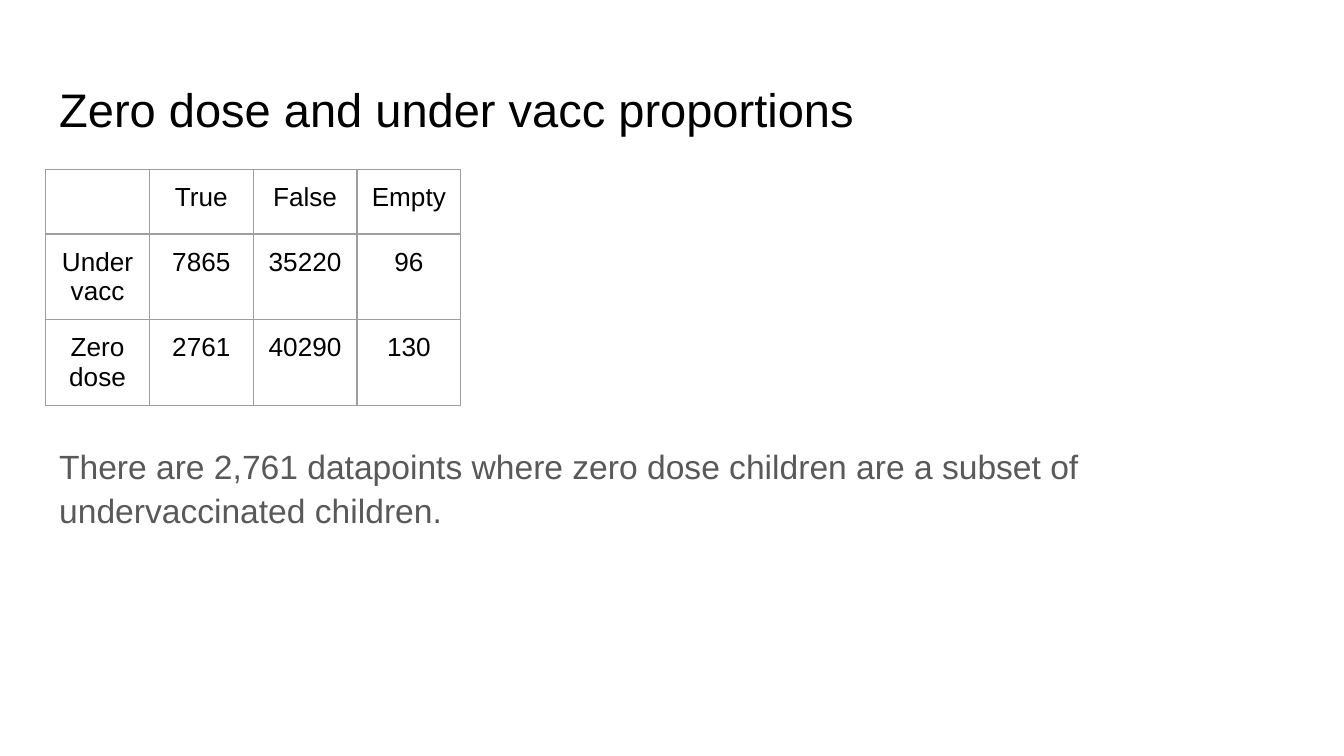
from lxml import etree
from pptx import Presentation
from pptx.dml.color import RGBColor
from pptx.enum import text
from pptx.oxml import ns
from pptx.util import Pt

COUNTS = [
    ["", "True", "False", "Empty"],
    ["Under vacc", "7865", "35220", "96"],
    ["Zero dose", "2761", "40290", "130"],
]
INSET = 7.2


def colour(value):
    """Turn a hex string into a colour."""
    return RGBColor.from_string(value)


def add_run(paragraph, wording, size, ink):
    """Append one formatted run to a paragraph."""
    run = paragraph.add_run()
    run.text = wording
    run.font.name = "Arial"
    run.font.size = Pt(size)
    run.font.bold = False
    run.font.color.rgb = colour(ink)


def fill_placeholder(holder, box, wording, size, ink, anchor, top_inset=INSET):
    """Move a placeholder to its box and write one plain paragraph in it."""
    holder.left, holder.top, holder.width, holder.height = map(Pt, box)
    frame = holder.text_frame
    frame.word_wrap = True
    frame.auto_size = text.MSO_AUTO_SIZE.NONE
    frame.vertical_anchor = anchor
    frame.margin_left = frame.margin_right = frame.margin_bottom = Pt(INSET)
    frame.margin_top = Pt(top_inset)
    paragraph = frame.paragraphs[0]
    paragraph.alignment = text.PP_ALIGN.LEFT
    paragraph.space_before = Pt(0)
    add_run(paragraph, wording, size, ink)
    return paragraph


def add_title(slide, box):
    """Place the slide heading."""
    heading = fill_placeholder(slide.shapes.title, box, "Zero dose and under vacc proportions",
                               25.2, "000000", text.MSO_ANCHOR.BOTTOM)
    heading.line_spacing = 1.0


def add_finding(slide, box):
    """Place the finding in the body, below the room kept for the table."""
    finding = fill_placeholder(
        slide.placeholders[1], box,
        "There are 2,761 datapoints where zero dose children are a subset of undervaccinated children.",
        18, "595959", text.MSO_ANCHOR.TOP, top_inset=146)
    finding.line_spacing = 1.09
    properties = finding._p.get_or_add_pPr()
    properties.set("marL", "0")
    properties.set("indent", "0")
    etree.SubElement(properties, ns.qn("a:buNone"))


def outline_cell(cell, ink, width):
    """Draw the four borders of a cell."""
    properties = cell._tc.get_or_add_tcPr()
    for position, side in enumerate(("lnL", "lnR", "lnT", "lnB")):
        border = etree.Element(ns.qn(f"a:{side}"), w=str(Pt(width)))
        fill = etree.SubElement(border, ns.qn("a:solidFill"))
        etree.SubElement(fill, ns.qn("a:srgbClr"), val=ink)
        properties.insert(position, border)


def add_counts(slide, box, row_heights):
    """Place the table of counts in its box."""
    frame = slide.shapes.add_table(len(COUNTS), len(COUNTS[0]), *map(Pt, box))
    table = frame.table
    table.first_row = table.horz_banding = False
    for column in table.columns:
        column.width = Pt(box[2] / len(COUNTS[0]))
    for row, height, values in zip(table.rows, row_heights, COUNTS):
        row.height = Pt(height)
        for cell, value in zip(row.cells, values):
            cell.margin_left = cell.margin_right = Pt(INSET)
            cell.margin_top = cell.margin_bottom = Pt(INSET)
            cell.fill.background()
            outline_cell(cell, "9E9E9E", 0.75)
            paragraph = cell.text_frame.paragraphs[0]
            paragraph.alignment = text.PP_ALIGN.CENTER
            add_run(paragraph, value, 14, "000000")


def main():
    """Build and save the slide."""
    deck = Presentation()
    deck.slide_width, deck.slide_height = Pt(720), Pt(405)
    slide = deck.slides.add_slide(deck.slide_layouts[1])
    left, content_top, width = 24.5, 90.75, 671
    row_heights = [34.3, 46, 46]
    add_title(slide, (left, 35.3, width, 45.4))
    add_finding(slide, (left, content_top, width, 269))
    add_counts(slide, (left, content_top, 222.4, sum(row_heights)), row_heights)
    deck.save("out.pptx")


if __name__ == "__main__":
    main()
